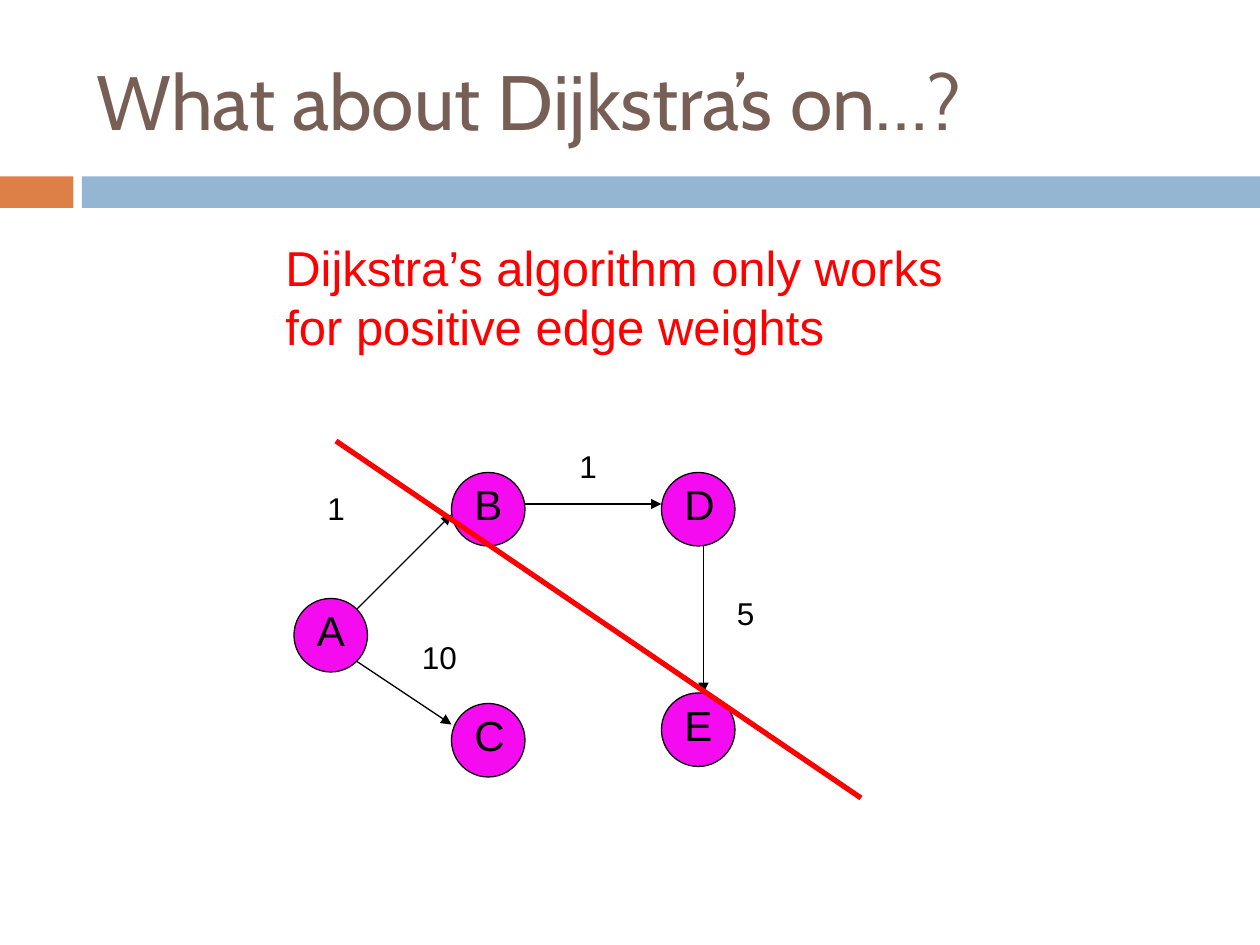
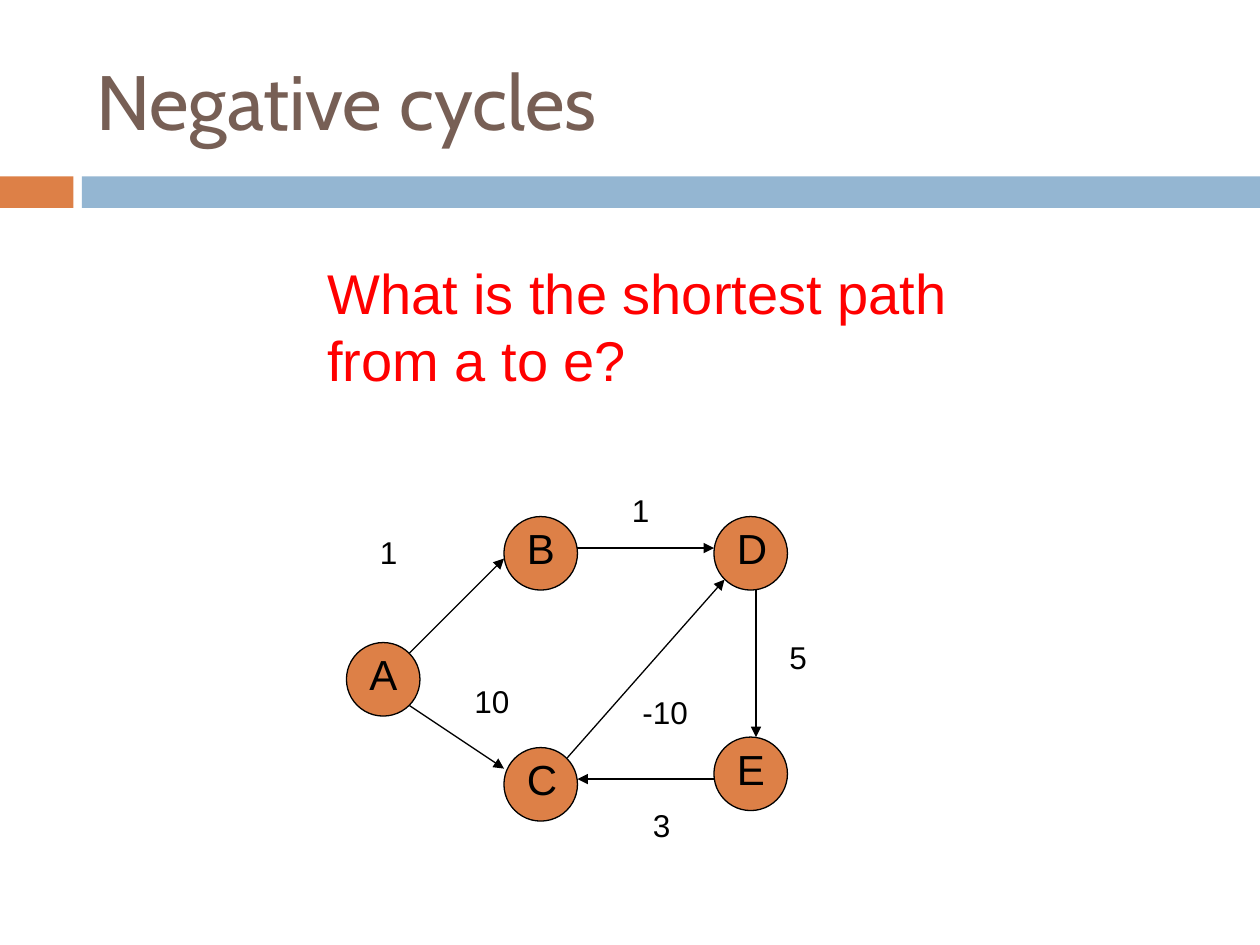
import pptx
import pptx.util
import pptx.dml.color
import pptx.enum.shapes
import pptx.enum.text
import pptx.oxml.ns
import lxml.etree

PX = 7620  # EMU in one px, 120 px to the inch
WIDE, HIGH = 1200, 900
SIZE = 70  # width of a node
ORANGE, BLUE, BROWN = "DD8047", "94B6D2", "775F55"
PINK, RED, BLACK = "F50BEF", "FF0000", "000000"

# Places are relative to the top left of the graph
NODES = {"A": (0, 150), "B": (150, 30), "C": (150, 250),
         "E": (350, 240), "D": (350, 30)}
EDGES = [(60, 160, 150, 70), (60, 210, 150, 270),
         (220, 60, 350, 60), (390, 100, 390, 240)]
COSTS = [("1", 20, 40), ("1", 260, 0), ("5", 410, 140), ("10", 110, 182)]
CYCLE_EDGES = [(210, 260, 360, 90), (350, 280, 220, 280)]
CYCLE_COSTS = [("-10", 270, 192), ("3", 280, 300)]


def px(*nums):
    return [pptx.util.Emu(num * PX) for num in nums]


def color(code):
    return pptx.dml.color.RGBColor.from_string(code)


def add_text(shapes, box, words, size, tint=BLACK, font="Arial", middle=False):
    frame = shapes.add_textbox(*px(*box)).text_frame
    frame.word_wrap = True
    if middle:
        frame.vertical_anchor = pptx.enum.text.MSO_ANCHOR.MIDDLE
    run = frame.paragraphs[0].add_run()
    run.text = words
    run.font.name = font
    run.font.size = pptx.util.Pt(size)
    run.font.color.rgb = color(tint)


def add_form(shapes, kind, box, fill, line=None):
    form = shapes.add_shape(kind, *px(*box))
    form.shadow.inherit = False
    form.fill.solid()
    form.fill.fore_color.rgb = color(fill)
    if line:
        form.line.color.rgb = color(line)
        form.line.width = pptx.util.Pt(0.75)
    else:
        form.line.fill.background()


def add_line(shapes, ends, tint=BLACK, width=0.75, arrow=True):
    line = shapes.add_connector(
        pptx.enum.shapes.MSO_CONNECTOR.STRAIGHT, *px(*ends))
    line.line.color.rgb = color(tint)
    line.line.width = pptx.util.Pt(width)
    props = line._element.spPr
    name = pptx.oxml.ns.qn
    if arrow:
        lxml.etree.SubElement(props.find(name("a:ln")), name("a:tailEnd"),
                              type="triangle")
    lxml.etree.SubElement(props, name("a:effectLst"))


def add_page(deck, title):
    """Blank slide with the shared band and title."""
    shapes = deck.slides.add_slide(deck.slide_layouts[6]).shapes
    rect = pptx.enum.shapes.MSO_SHAPE.RECTANGLE
    add_form(shapes, rect, (0, 168, 70, 30), ORANGE)
    add_form(shapes, rect, (78, 168, WIDE - 78, 30), BLUE)
    add_text(shapes, (80, 30, 1070, 130), title, 44, BROWN, "Cabin", True)
    return shapes


def add_node(shapes, name, left, top, fill):
    group = shapes.add_group_shape().shapes
    add_form(group, pptx.enum.shapes.MSO_SHAPE.OVAL,
             (left, top, SIZE, SIZE), fill, BLACK)
    add_text(group, (left + 10, top, 60, 60), name, 24)


def add_graph(shapes, left, top, fill, edges, costs):
    for name, (x, y) in NODES.items():
        add_node(shapes, name, left + x, top + y, fill)
    for x, y, end_x, end_y in edges:
        add_line(shapes, (left + x, top + y, left + end_x, top + end_y))
    for cost, x, y in costs:
        add_text(shapes, (left + x, top + y, 90, 48), cost, 18)


def main():
    deck = pptx.Presentation()
    deck.slide_width, deck.slide_height = px(WIDE, HIGH)

    # Positive weights, struck through
    shapes = add_page(deck, "What about Dijkstra’s on…?")
    add_graph(shapes, 280, 420, PINK, EDGES, COSTS)
    add_line(shapes, (320, 420, 820, 760), RED, 3, arrow=False)
    add_text(shapes, (260, 220, 660, 124),
             "Dijkstra’s algorithm only works for positive edge weights",
             28, RED)

    # The same graph with a negative cycle
    shapes = add_page(deck, "Negative cycles")
    add_graph(shapes, 330, 462, ORANGE, EDGES + CYCLE_EDGES,
              COSTS + CYCLE_COSTS)
    add_text(shapes, (300, 240, 680, 140),
             "What is the shortest path from a to e?", 32, RED)

    deck.save("out.pptx")


if __name__ == "__main__":
    main()
